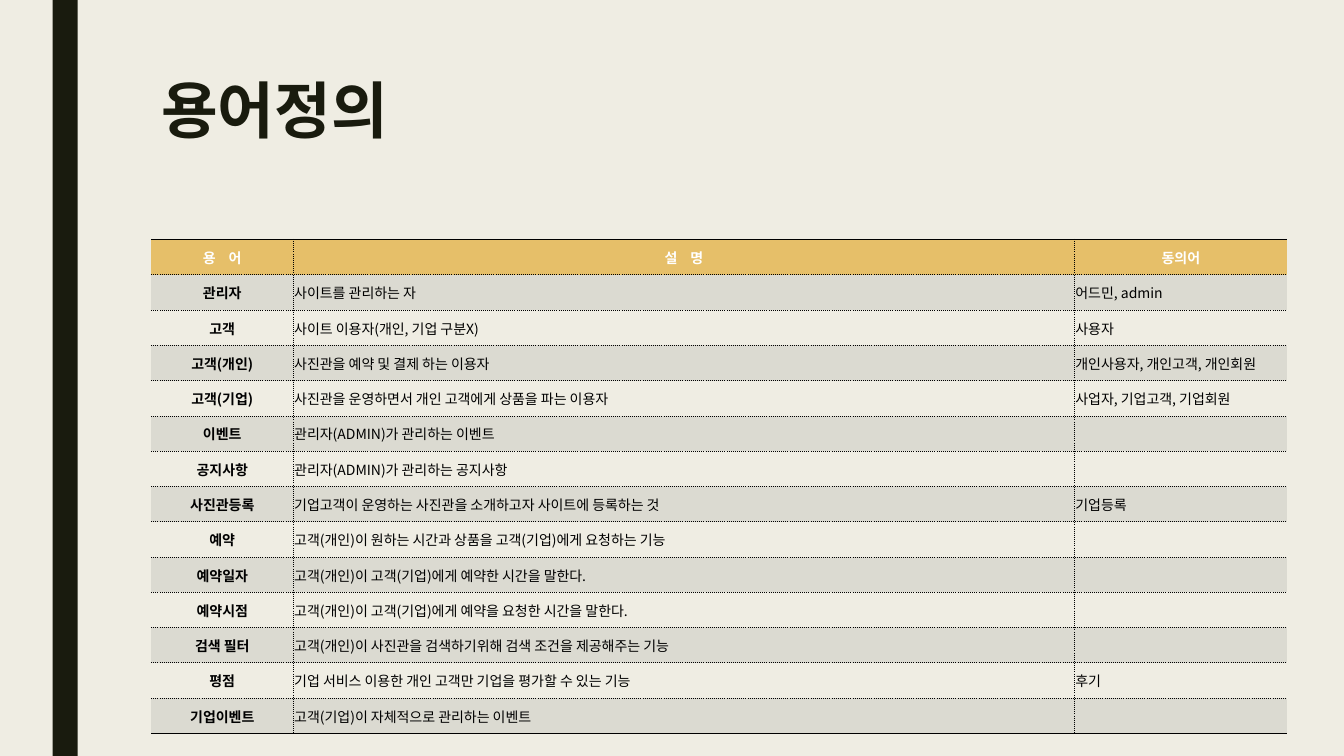
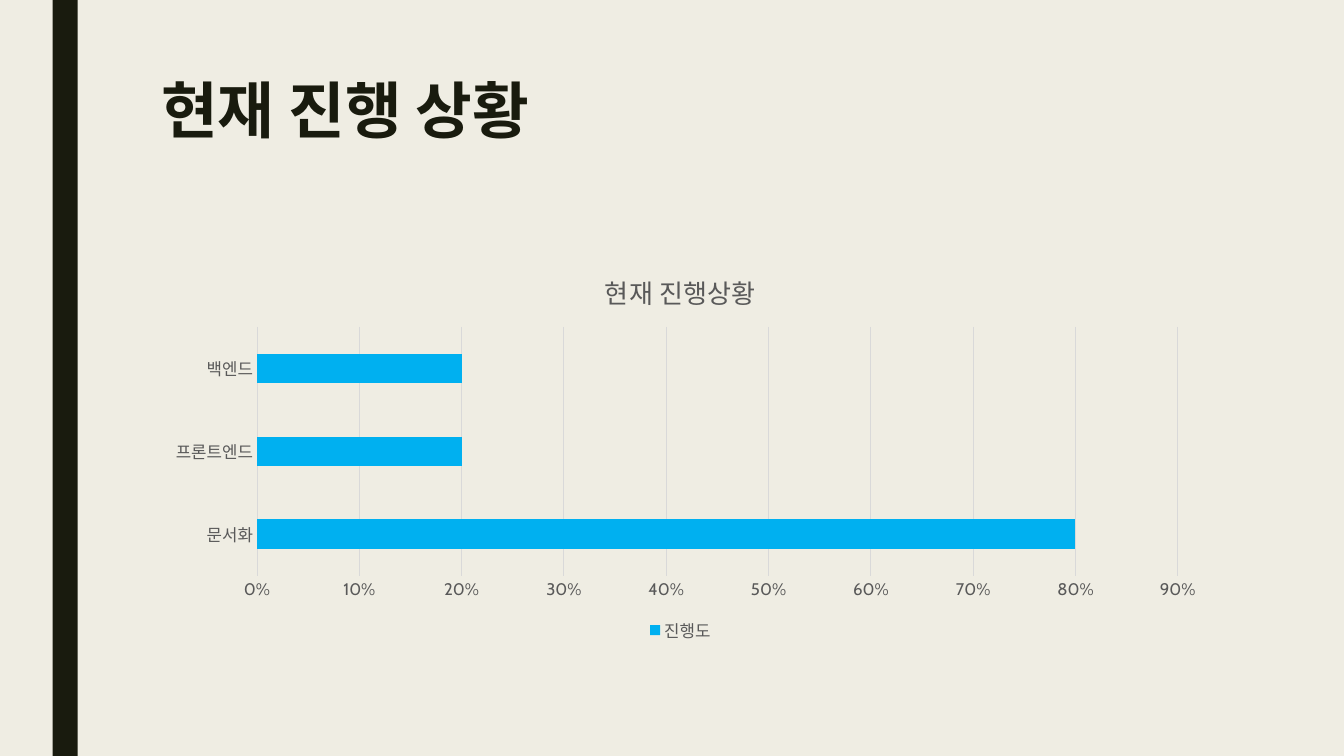
from dataclasses import dataclass
from typing import Any

from lxml import etree
from pptx import Presentation
from pptx import util as u
from pptx.chart import data as chart_data
from pptx.dml import color
from pptx.enum import chart as chart_enum, shapes, text
from pptx.oxml import ns

Pt = u.Pt

# Shared style
COLORS = {
    "background": "EFEDE3",
    "dark": "191B0E",
    "header": "E6BF69",
    "band": "DBDAD1",
    "black": "000000",
    "white": "FFFFFF",
    "gray": "595959",
    "grid": "D9D9D9",
    "bar": "00B0F0",
}
KOREAN_FONT = "Noto Sans CJK KR"
CHART_FONT = "Cabin"
SLIDE_WIDTH, SLIDE_HEIGHT = 960, 540
CONTENT_LEFT, CONTENT_WIDTH = 108, 756
TITLE_TOP, TITLE_HEIGHT = 54, 116.64


@dataclass(frozen=True)
class Term:
    name: str
    meaning: str
    synonyms: str = ""


@dataclass(frozen=True)
class Border:
    width: float
    dash: str


# Slide content
HEADER = Term("용 어", "설 명", "동의어")
TERMS = [
    Term("관리자", "사이트를 관리하는 자", "어드민, admin"),
    Term("고객", "사이트 이용자(개인, 기업 구분X)", "사용자"),
    Term("고객(개인)", "사진관을 예약 및 결제 하는 이용자", "개인사용자, 개인고객, 개인회원"),
    Term("고객(기업)", "사진관을 운영하면서 개인 고객에게 상품을 파는 이용자", "사업자, 기업고객, 기업회원"),
    Term("이벤트", "관리자(ADMIN)가 관리하는 이벤트"),
    Term("공지사항", "관리자(ADMIN)가 관리하는 공지사항"),
    Term("사진관등록", "기업고객이 운영하는 사진관을 소개하고자 사이트에 등록하는 것", "기업등록"),
    Term("예약", "고객(개인)이 원하는 시간과 상품을 고객(기업)에게 요청하는 기능"),
    Term("예약일자", "고객(개인)이 고객(기업)에게 예약한 시간을 말한다."),
    Term("예약시점", "고객(개인)이 고객(기업)에게 예약을 요청한 시간을 말한다."),
    Term("검색 필터", "고객(개인)이 사진관을 검색하기위해 검색 조건을 제공해주는 기능"),
    Term("평점", "기업 서비스 이용한 개인 고객만 기업을 평가할 수 있는 기능", "후기"),
    Term("기업이벤트", "고객(기업)이 자체적으로 관리하는 이벤트"),
]
PROGRESS = {"문서화": 0.8, "프론트엔드": 0.2, "백엔드": 0.2}

# Table rules
COLUMN_WIDTHS = (101.5, 558, 152)
ROW_HEIGHT = 25.2
TABLE_TOP = 171
TABLE_TEXT_SIZE = 10
HEADER_SPACING = 3.5
OUTER_BORDER = Border(1, "solid")
INNER_BORDER = Border(0.5, "sysDot")


def rgb(name: str) -> color.RGBColor:
    return color.RGBColor.from_string(COLORS[name])


def paint(fill: Any, name: str) -> None:
    fill.solid()
    fill.fore_color.rgb = rgb(name)


def set_values(target: Any, values: dict[str, Any]) -> None:
    for attribute, value in values.items():
        setattr(target, attribute, value)


def format_font(font: Any, name: str, size: float, color_name: str, bold: bool = False) -> None:
    set_values(font, {"name": name, "size": Pt(size), "bold": bold})
    font.color.rgb = rgb(color_name)


def add_run(paragraph: Any, content: str, size: float, color_name: str, bold: bool) -> Any:
    run = paragraph.add_run()
    run.text = content
    format_font(run.font, KOREAN_FONT, size, color_name, bold)
    properties = run._r.get_or_add_rPr()
    etree.SubElement(properties, ns.qn("a:ea"), typeface=KOREAN_FONT)
    return properties


def add_titled_slide(presentation: Any, title: str) -> Any:
    slide = presentation.slides.add_slide(presentation.slide_layouts[5])
    # Side band
    band = slide.shapes.add_shape(
        shapes.MSO_SHAPE.RECTANGLE, Pt(37.5), Pt(0), Pt(18), Pt(SLIDE_HEIGHT)
    )
    band.shadow.inherit = False
    paint(band.fill, "dark")
    band.line.fill.background()
    # Title
    placeholder = slide.shapes.title
    set_values(placeholder, {
        "left": Pt(CONTENT_LEFT), "top": Pt(TITLE_TOP),
        "width": Pt(CONTENT_WIDTH), "height": Pt(TITLE_HEIGHT),
    })
    frame = placeholder.text_frame
    set_values(frame, {
        "word_wrap": True,
        "auto_size": text.MSO_AUTO_SIZE.NONE,
        "vertical_anchor": text.MSO_ANCHOR.TOP,
    })
    paragraph = frame.paragraphs[0]
    set_values(paragraph, {"alignment": text.PP_ALIGN.LEFT, "line_spacing": 0.89})
    add_run(paragraph, title, 44, "dark", True)
    return slide


def add_border(cell: Any, side: str, border: Border | None) -> None:
    line = etree.SubElement(cell._tc.get_or_add_tcPr(), ns.qn(f"a:ln{side}"))
    if border is None:
        etree.SubElement(line, ns.qn("a:noFill"))
        return
    line.set("w", str(Pt(border.width)))
    fill = etree.SubElement(line, ns.qn("a:solidFill"))
    etree.SubElement(fill, ns.qn("a:srgbClr"), val=COLORS["black"])
    etree.SubElement(line, ns.qn("a:prstDash"), val=border.dash)


def format_cell(cell: Any, content: str, row: int, column: int) -> None:
    is_header = row == 0
    last_column = len(COLUMN_WIDTHS) - 1
    borders = {
        "L": None if column == 0 else INNER_BORDER,
        "R": None if column == last_column else INNER_BORDER,
        "T": OUTER_BORDER if is_header else INNER_BORDER,
        "B": OUTER_BORDER if row == len(TERMS) else INNER_BORDER,
    }
    for side, border in borders.items():
        add_border(cell, side, border)
    if is_header or row % 2:
        paint(cell.fill, "header" if is_header else "band")
    else:
        cell.fill.background()
    set_values(cell, {
        "margin_left": Pt(0.7), "margin_right": Pt(0.7),
        "margin_top": Pt(0.7), "margin_bottom": Pt(0),
        "vertical_anchor": text.MSO_ANCHOR.MIDDLE,
    })
    paragraph = cell.text_frame.paragraphs[0]
    if not content:
        etree.SubElement(paragraph._p, ns.qn("a:endParaRPr"), sz=str(TABLE_TEXT_SIZE * 100))
        return
    emphasized = is_header or column == 0
    paragraph.alignment = text.PP_ALIGN.CENTER if emphasized else text.PP_ALIGN.LEFT
    properties = add_run(
        paragraph, content, TABLE_TEXT_SIZE, "white" if is_header else "black", emphasized
    )
    if is_header and column < last_column:
        properties.set("spc", str(int(HEADER_SPACING * 100)))


def add_term_table(slide: Any) -> None:
    rows = [HEADER, *TERMS]
    table = slide.shapes.add_table(
        len(rows), len(COLUMN_WIDTHS), Pt(CONTENT_LEFT), Pt(TABLE_TOP),
        Pt(sum(COLUMN_WIDTHS)), Pt(ROW_HEIGHT * len(rows)),
    ).table
    set_values(table, {"first_row": False, "horz_banding": False})
    for column, width in zip(table.columns, COLUMN_WIDTHS):
        column.width = Pt(width)
    for row, term in enumerate(rows):
        table.rows[row].height = Pt(ROW_HEIGHT)
        for column, content in enumerate((term.name, term.meaning, term.synonyms)):
            format_cell(table.cell(row, column), content, row, column)


def place_plot(chart: Any, left: float, top: float, width: float, height: float) -> None:
    area = chart._chartSpace.chart.plotArea
    for old_layout in area.findall(ns.qn("c:layout")):
        area.remove(old_layout)
    layout = etree.Element(ns.qn("c:layout"))
    area.insert(0, layout)
    manual = etree.SubElement(layout, ns.qn("c:manualLayout"))
    values = {
        "layoutTarget": "inner", "xMode": "edge", "yMode": "edge",
        "x": left, "y": top, "w": width, "h": height,
    }
    for tag, value in values.items():
        etree.SubElement(manual, ns.qn(f"c:{tag}"), val=str(value))


def add_progress_chart(slide: Any) -> None:
    data = chart_data.CategoryChartData(number_format="0%")
    data.categories = list(PROGRESS)
    data.add_series("진행도", list(PROGRESS.values()))
    chart = slide.shapes.add_chart(
        chart_enum.XL_CHART_TYPE.BAR_CLUSTERED,
        Pt(CONTENT_LEFT), Pt(180), Pt(CONTENT_WIDTH), Pt(282), data,
    ).chart
    format_font(chart.font, CHART_FONT, 12, "gray")
    # Chart title and legend
    chart.has_title = True
    title_run = chart.chart_title.text_frame.paragraphs[0].add_run()
    title_run.text = "현재 진행상황"
    format_font(title_run.font, CHART_FONT, 18.6, "gray")
    chart.chart_title.include_in_layout = False
    chart.has_legend = True
    set_values(chart.legend, {
        "position": chart_enum.XL_LEGEND_POSITION.BOTTOM, "include_in_layout": False,
    })
    format_font(chart.legend.font, CHART_FONT, 12, "gray")
    # Bars
    plot = chart.plots[0]
    set_values(plot, {"gap_width": 182, "vary_by_categories": False})
    paint(plot.series[0].format.fill, "bar")
    # Axes
    for axis in (chart.category_axis, chart.value_axis):
        set_values(axis, {
            "major_tick_mark": chart_enum.XL_TICK_MARK.NONE,
            "minor_tick_mark": chart_enum.XL_TICK_MARK.NONE,
        })
        format_font(axis.tick_labels.font, CHART_FONT, 12, "gray")
    value_axis = chart.value_axis
    set_values(value_axis, {
        "minimum_scale": 0, "maximum_scale": 0.9, "major_unit": 0.1,
        "has_major_gridlines": True,
    })
    set_values(value_axis.tick_labels, {"number_format": "0%", "number_format_is_linked": False})
    value_axis.format.line.fill.background()
    for line in (chart.category_axis.format.line, value_axis.major_gridlines.format.line):
        paint(line.fill, "grid")
        line.width = Pt(0.75)
    place_plot(chart, 0.1, 0.19, 0.87, 0.63)


def main() -> None:
    presentation = Presentation()
    set_values(presentation, {"slide_width": Pt(SLIDE_WIDTH), "slide_height": Pt(SLIDE_HEIGHT)})
    paint(presentation.slide_master.background.fill, "background")
    add_term_table(add_titled_slide(presentation, "용어정의"))
    add_progress_chart(add_titled_slide(presentation, "현재 진행 상황"))
    presentation.save("out.pptx")


if __name__ == "__main__":
    main()
